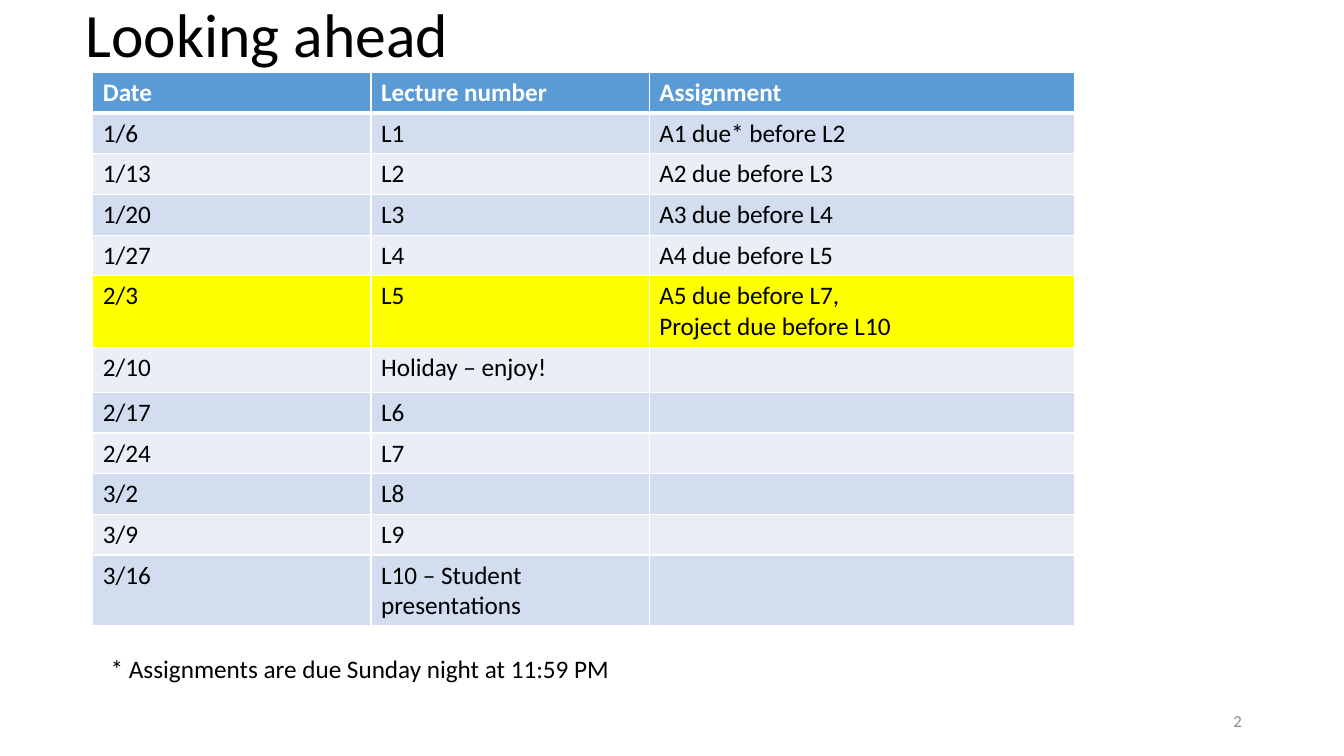
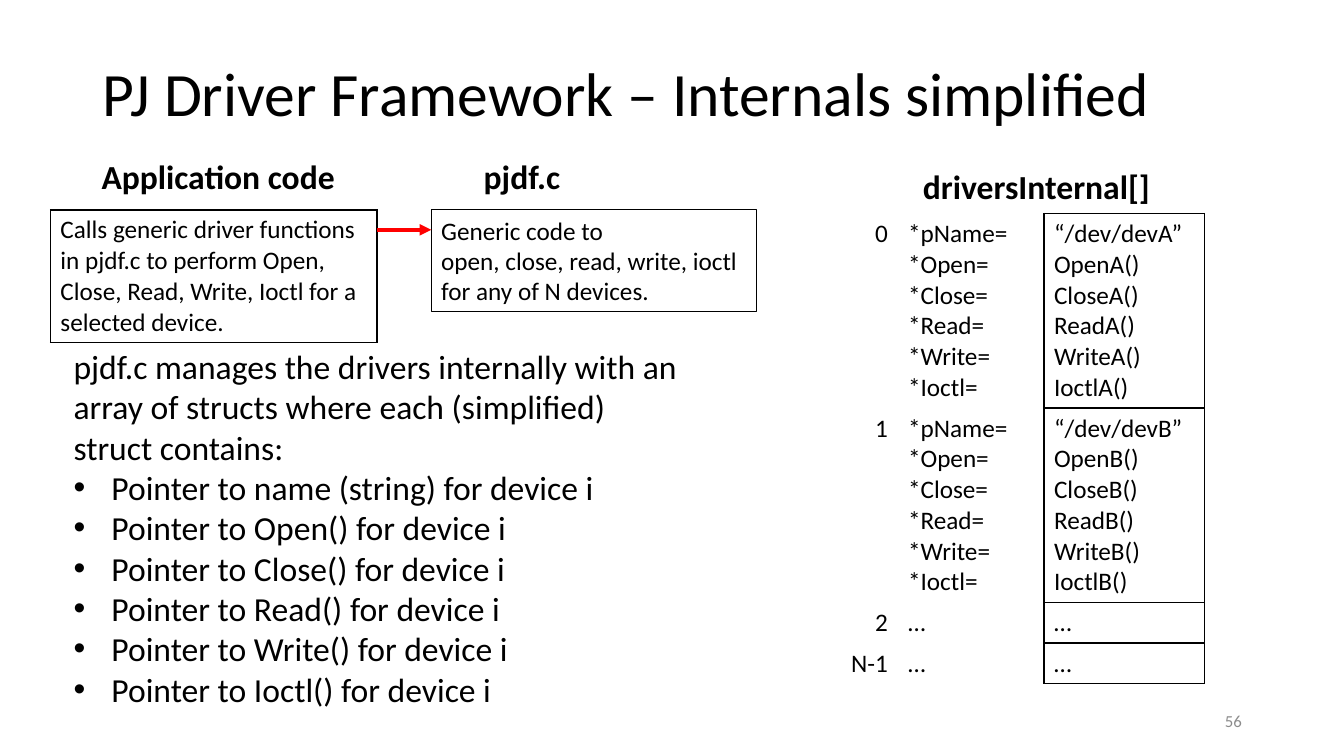
from dataclasses import dataclass

from lxml.etree import SubElement
from pptx import Presentation
from pptx.dml.color import RGBColor as RGB
from pptx.enum.shapes import MSO_CONNECTOR as CONN, MSO_SHAPE as SHAPE
from pptx.enum.text import MSO_ANCHOR as ANCHOR, MSO_AUTO_SIZE as AUTO, PP_ALIGN as ALIGN
from pptx.oxml.ns import qn
from pptx.util import Cm, Pt


@dataclass(frozen=True)
class Theme:
    """Colours, font and type sizes shared by the slides."""
    font: str = "Calibri"
    ink: RGB = RGB(0, 0, 0)
    white: RGB = RGB(255, 255, 255)
    grey: RGB = RGB(0x8C, 0x8C, 0x8C)
    header: RGB = RGB(0x5B, 0x9B, 0xD5)
    band_dark: RGB = RGB(0xD2, 0xDE, 0xEF)
    band_light: RGB = RGB(0xEA, 0xEF, 0xF7)
    highlight: RGB = RGB(255, 255, 0)
    arrow: RGB = RGB(255, 0, 0)
    title: int = 44
    large: int = 24
    text: int = 18
    small: int = 12


T = Theme()
TITLE_ONLY, TITLE_AND_BODY = 5, 1
LINE_H, CELL_PAD = 0.775, 0.25

SCHEDULE = [
    ("Date", "Lecture number", "Assignment"),
    ("1/6", "L1", "A1 due* before L2"),
    ("1/13", "L2", "A2 due before L3"),
    ("1/20", "L3", "A3 due before L4"),
    ("1/27", "L4", "A4 due before L5"),
    ("2/3", "L5", "A5 due before L7,\nProject due before L10"),
    ("2/10", "Holiday – enjoy!", ""),
    ("2/17", "L6", ""),
    ("2/24", "L7", ""),
    ("3/2", "L8", ""),
    ("3/9", "L9", ""),
    ("3/16", "L10 – Student presentations", ""),
]
CURRENT_ROW, HOLIDAY_ROW = 5, 6
OPERATIONS = ("Open", "Close", "Read", "Write", "Ioctl")


def style(p, size=T.text, color=T.ink, bold=False, align=ALIGN.LEFT):
    """Format one paragraph."""
    p.alignment = align
    p.font.name, p.font.size, p.font.bold = T.font, Pt(size), bold
    p.font.color.rgb = color


def write(tf, text, **look):
    """Fill a text frame, one paragraph per line, in one look."""
    tf.text = text
    for p in tf.paragraphs:
        style(p, **look)


def place(shape, x, y, w, h):
    """Move and size a shape, in centimetres."""
    shape.left, shape.top, shape.width, shape.height = map(Cm, (x, y, w, h))


def add_label(s, x, y, w, h, text, anchor=ANCHOR.TOP, wrap=False, **look):
    """Add a text box."""
    tf = s.shapes.add_textbox(Cm(x), Cm(y), Cm(w), Cm(h)).text_frame
    tf.word_wrap, tf.vertical_anchor = wrap, anchor
    write(tf, text, **look)


def add_heading(s, x, y, w, text):
    """Add a bold heading above a region."""
    add_label(s, x, y, w, 1.27, text, size=T.large, bold=True)


def new_slide(prs, layout, title, box, anchor, number):
    """Add a slide with its title and page number."""
    s = prs.slides.add_slide(prs.slide_layouts[layout])
    place(s.shapes.title, *box)
    tf = s.shapes.title.text_frame
    tf.auto_size, tf.vertical_anchor = AUTO.NONE, anchor
    write(tf, title, size=T.title)
    tf.paragraphs[0].line_spacing = 0.9
    add_label(s, 23.93, 17.65, 7.62, 1.02, number, ANCHOR.MIDDLE, True,
              size=T.small, color=T.grey, align=ALIGN.RIGHT)
    return s


def set_borders(cell, color, sides="LRTB", bottom=1):
    """Draw the named sides of a cell and clear the others."""
    tc_pr = cell._tc.get_or_add_tcPr()
    for i, side in enumerate("LRTB"):
        width = bottom if side == "B" else 1
        ln = SubElement(tc_pr, qn(f"a:ln{side}"), w=str(Pt(width)))
        tc_pr.insert(i, ln)
        if side in sides:
            fill = SubElement(ln, qn("a:solidFill"))
            SubElement(fill, qn("a:srgbClr"), val=str(color))
        else:
            SubElement(ln, qn("a:noFill"))


def add_grid(s, x, y, widths, rows):
    """Add an unstyled table whose rows fit their lines of text."""
    heights = [CELL_PAD + LINE_H * max(t.count("\n") + 1 for t in row) for row in rows]
    table = s.shapes.add_table(len(rows), len(widths), Cm(x), Cm(y),
                               Cm(sum(widths)), Cm(sum(heights))).table
    table.first_row = table.horz_banding = False
    for col, w in zip(table.columns, widths):
        col.width = Cm(w)
    for r, (row, h) in enumerate(zip(rows, heights)):
        table.rows[r].height = Cm(h)
        for c, text in enumerate(row):
            cell = table.cell(r, c)
            cell.fill.background()
            write(cell.text_frame, text)
    return table


def add_schedule(s, x, y):
    """Add the banded lecture schedule and its footnote."""
    table = add_grid(s, x, y, (7.01, 7.01, 10.72), SCHEDULE)
    table.rows[HOLIDAY_ROW].height = Cm(1.14)
    for r, row in enumerate(table.rows):
        fill = T.band_dark if r % 2 else T.band_light
        fill = {0: T.header, CURRENT_ROW: T.highlight}.get(r, fill)
        for cell in row.cells:
            cell.fill.solid()
            cell.fill.fore_color.rgb = fill
            set_borders(cell, T.white, bottom=1 if r else 3)
            if r == 0:
                style(cell.text_frame.paragraphs[0], color=T.white, bold=True)
    add_label(s, x + 0.2, y + 14.5, 13.23, 1.02,
              "* Assignments are due Sunday night at 11:59 PM")


def add_arrow(s, x1, x2, y):
    """Add a level red arrow."""
    line = s.shapes.add_connector(CONN.STRAIGHT, Cm(x1), Cm(y), Cm(x2), Cm(y))
    line.line.color.rgb, line.line.width = T.arrow, Pt(2.75)
    SubElement(line.line._get_or_add_ln(), qn("a:tailEnd"), type="triangle")
    SubElement(line._element.spPr, qn("a:effectLst"))


def add_call_flow(s, x, y):
    """Add the application box, the pjdf.c box and the arrow between them."""
    box_y, app_w, pjdf_x = y + 1.48, 8.23, x + 9.6
    add_heading(s, x + 1.04, y, 6.45, "Application code")
    add_heading(s, pjdf_x + 1.07, y, 2.46, "pjdf.c")
    app = add_grid(s, x, box_y, (app_w,), [(
        "Calls generic driver functions in pjdf.c to perform Open, "
        "Close, Read, Write, Ioctl for a selected device.",)])
    app.rows[0].height = Cm(CELL_PAD + 4 * LINE_H)
    set_borders(app.cell(0, 0), T.ink)

    pjdf = s.shapes.add_shape(SHAPE.RECTANGLE, Cm(pjdf_x), Cm(box_y), Cm(8.2), Cm(2.57))
    pjdf.shadow.inherit = False
    pjdf.fill.background()
    pjdf.line.color.rgb, pjdf.line.width = T.ink, Pt(0.75)
    tf = pjdf.text_frame
    tf.word_wrap, tf.vertical_anchor = False, ANCHOR.TOP
    write(tf, "Generic code to\nopen, close, read, write, ioctl\nfor any of N devices.")
    add_arrow(s, x + app_w, pjdf_x, box_y + 0.5)


def add_struct_list(s, box):
    """Fill the body with the contents of each struct."""
    body = s.placeholders[1]
    place(body, *box)
    tf = body.text_frame
    tf.auto_size = AUTO.NONE
    pointers = ["name (string)"] + [f"{op}()" for op in OPERATIONS]
    tf.text = "\n".join(
        ["pjdf.c manages the drivers internally with an array of structs "
         "where each (simplified) struct contains:"]
        + [f"Pointer to {name} for device i" for name in pointers])
    for i, p in enumerate(tf.paragraphs):
        p.space_before = Pt(0)
        if i == 0:
            p_pr = p._p.get_or_add_pPr()
            p_pr.set("marL", "0")
            p_pr.set("indent", "0")
            SubElement(p_pr, qn("a:buNone"))
        style(p, size=T.large)


def add_driver_array(s, x, y):
    """Add the array of driver structs under its heading."""
    fields = "\n".join(f"*{name}=" for name in ("pName", *OPERATIONS))
    rows = [(str(i), fields, "\n".join([f"“/dev/dev{dev}”"] + [f"{op}{dev}()" for op in OPERATIONS]))
            for i, dev in enumerate("AB")]
    rows += [(index, "…", "…") for index in ("2", "N-1")]
    add_heading(s, x + 2.23, y, 6.3, "driversInternal[]")
    table = add_grid(s, x, y + 1.32, (1.85, 3.68, 4.04), rows)
    for row in table.rows:
        for cell, sides in zip(row.cells, ("", "R", "LRTB")):
            set_borders(cell, T.ink, sides)
        style(row.cells[0].text_frame.paragraphs[0], align=ALIGN.RIGHT)


def build_schedule_slide(prs):
    """Build the slide of coming lectures."""
    s = new_slide(prs, TITLE_ONLY, "Looking ahead", (1.9, -0.03, 29.21, 3.68), ANCHOR.TOP, "2")
    add_schedule(s, 2.34, 1.83)


def build_driver_slide(prs):
    """Build the slide on the driver framework."""
    s = new_slide(prs, TITLE_AND_BODY, "PJ Driver Framework – Internals simplified",
                  (2.34, 1.02, 29.21, 2.82), ANCHOR.MIDDLE, "56")
    add_call_flow(s, 1.27, 3.81)
    add_struct_list(s, (1.6, 8.59, 15.82, 9.5))
    add_driver_array(s, 20.78, 4.06)


def main():
    """Build and save the presentation."""
    prs = Presentation()
    prs.slide_width, prs.slide_height = Cm(33.87), Cm(19.05)
    build_schedule_slide(prs)
    build_driver_slide(prs)
    prs.save("out.pptx")


if __name__ == "__main__":
    main()
